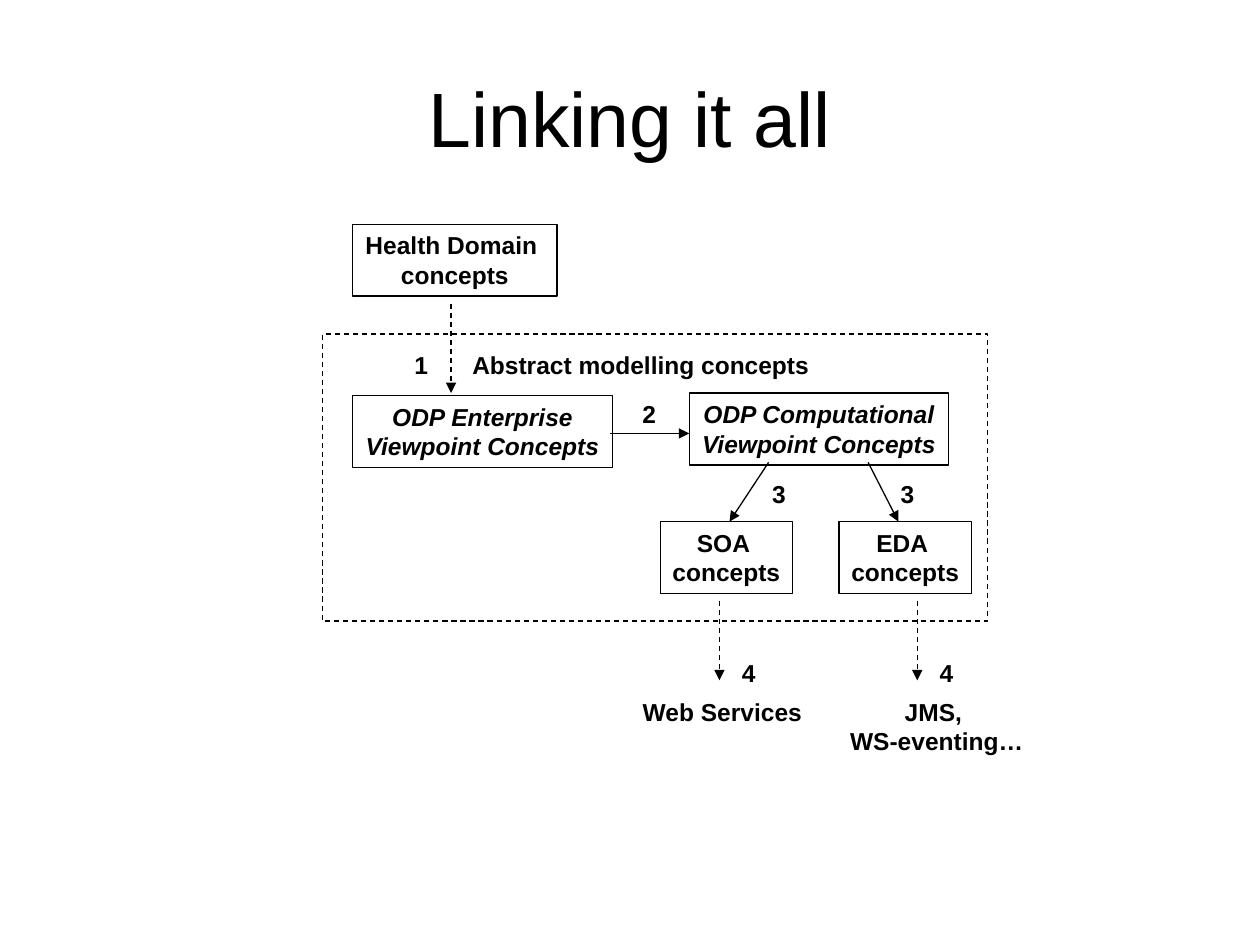
from pptx import Presentation
from pptx.dml.color import RGBColor
from pptx.enum.dml import MSO_LINE as Dash
from pptx.enum.shapes import MSO_CONNECTOR as Conn, MSO_SHAPE as Shape
from pptx.enum.text import MSO_ANCHOR as Anchor, MSO_AUTO_SIZE as Fit, PP_ALIGN as Align
from pptx.oxml.ns import qn
from pptx.util import Inches, Pt
from lxml.etree import SubElement

BLACK = RGBColor(0, 0, 0)
FONT = "Arial"
ONE, TWO = 0.34, 0.57


def write(shape, lines, size=14, bold=True, italic=False, align=Align.CENTER):
    """Fill a shape with one paragraph per line."""
    frame = shape.text_frame
    frame.word_wrap = False
    frame.auto_size = Fit.NONE
    frame.vertical_anchor = Anchor.TOP
    for i, line in enumerate(lines):
        para = frame.paragraphs[0] if i == 0 else frame.add_paragraph()
        para.alignment = align
        run = para.add_run()
        run.text = line
        font = run.font
        font.name, font.size = FONT, Pt(size)
        font.bold, font.italic = bold, italic
        font.color.rgb = BLACK


def stroke(line, dashed):
    """Give a line its colour, width and dash."""
    line.color.rgb = BLACK
    line.width = Pt(0.75)
    if dashed:
        line.dash_style = Dash.DASH


def outline(slide, x, y, w, h, dashed=False):
    """Draw an unfilled rectangle."""
    box = slide.shapes.add_shape(Shape.RECTANGLE, *map(Inches, (x, y, w, h)))
    box.shadow.inherit = False
    box.fill.background()
    stroke(box.line, dashed)
    return box


def label(slide, x, y, w, h, *lines, **style):
    """Place bare text."""
    box = slide.shapes.add_textbox(*map(Inches, (x, y, w, h)))
    write(box, lines, **style)
    return box


def step(slide, x, y, num):
    """Place a step number."""
    label(slide, x, y, 0.31, ONE, num, align=Align.LEFT)


def arrow(slide, x1, y1, x2, y2, dashed=False):
    """Draw a line with an arrowhead at its end."""
    link = slide.shapes.add_connector(Conn.STRAIGHT, *map(Inches, (x1, y1, x2, y2)))
    stroke(link.line, dashed)
    SubElement(link.line._get_or_add_ln(), qn("a:tailEnd"), type="triangle")
    SubElement(link._element.spPr, qn("a:effectLst"))


def title(slide, x, y, w, h):
    """Place the slide title."""
    box = label(slide, x, y, w, h, "Linking it all", size=44, bold=False)
    box.text_frame.word_wrap = True
    box.text_frame.vertical_anchor = Anchor.MIDDLE


def domain(slide, x, y, w, h):
    """Draw the health domain and its way into the model."""
    write(outline(slide, x, y, w, h), ["Health Domain ", "concepts"])
    arrow(slide, x + 0.78, y + 0.63, x + 0.78, y + 1.34, dashed=True)


def model(slide, x, y, w, h):
    """Draw the abstract model with its views and styles."""
    outline(slide, x, y, w, h, dashed=True)
    label(slide, x + 1.09, y + 0.08, 2.87, ONE, "Abstract modelling concepts", align=Align.LEFT)
    for dx, dy, name in ((0.24, 0.49, "ODP Enterprise"), (2.91, 0.47, "ODP Computational")):
        view = outline(slide, x + dx, y + dy, 2.06, TWO)
        write(view, [name, "Viewpoint Concepts"], italic=True)
    for dx, name in ((2.68, "SOA "), (4.1, "EDA ")):
        write(outline(slide, x + dx, y + 1.49, 1.05, TWO), [name, "concepts"])
    for x1, y1, x2, y2 in ((2.28, 0.79, 2.91, 0.79), (3.54, 1.02, 3.23, 1.49), (4.33, 1.02, 4.57, 1.49)):
        arrow(slide, x + x1, y + y1, x + x2, y + y2)
    for dx, dy, num in ((0.63, 0.08, "1"), (2.44, 0.47, "2"), (3.47, 1.1, "3"), (4.49, 1.1, "3")):
        step(slide, x + dx, y + dy, num)


def target(slide, x, y, w, h, axis, *lines):
    """Draw a platform below the arrow that leads to it."""
    arrow(slide, x + axis, y, x + axis, y + 0.63, dashed=True)
    step(slide, x + axis + 0.08, y + 0.4, "4")
    label(slide, x, y + 0.71, w, h - 0.71, *lines)


def main():
    """Build and save the slide."""
    deck = Presentation()
    deck.slide_width, deck.slide_height = Inches(10), Inches(7.5)
    slide = deck.slides.add_slide(deck.slide_layouts[6])
    title(slide, 0.5, 0.3, 9, 1.25)
    domain(slide, 2.8, 1.78, 1.62, TWO)
    model(slide, 2.56, 2.65, 5.28, 2.28)
    target(slide, 5, 4.77, 1.52, 1.05, 0.71, "Web Services ")
    target(slide, 6.65, 4.77, 1.57, 1.28, 0.63, "JMS, ", "WS-eventing…")
    deck.save("out.pptx")


if __name__ == "__main__":
    main()
